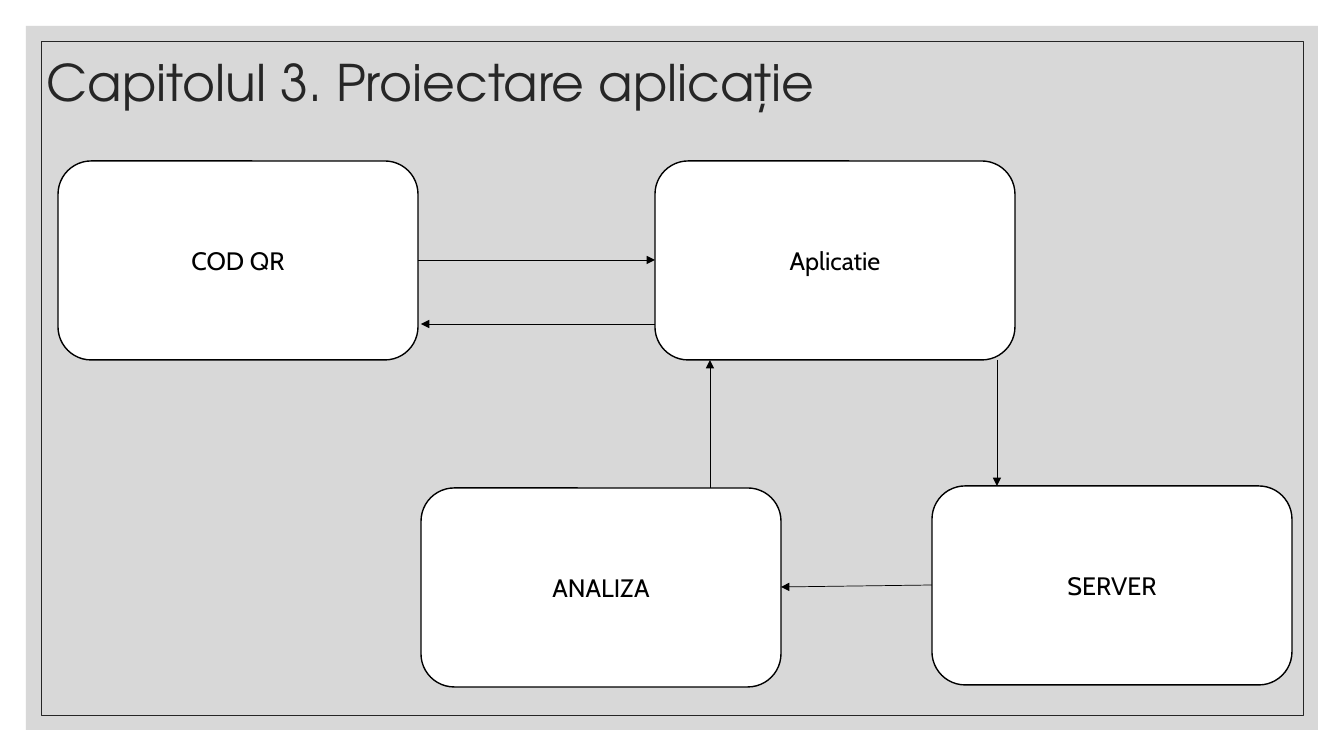
from pptx import Presentation
from pptx import util as u
from pptx.dml import color
from pptx.enum import shapes, text
from pptx.oxml import ns
from lxml import etree

PIXEL = 914400 / 100.8
COLOURS = {"panel": "BFBFBF", "title": "262626", "node": "FFFFFF", "ink": "000000"}
NODE_WIDTH, NODE_HEIGHT = 360, 199


def emu(*pixels):
    """Turn pixel lengths into EMU."""
    return [u.Emu(round(pixel * PIXEL)) for pixel in pixels]


def rgb(name):
    """Look up a named colour."""
    return color.RGBColor.from_string(COLOURS[name])


def add_child(parent, tag, **attributes):
    """Append a DrawingML element to its parent."""
    return etree.SubElement(parent, ns.qn(tag), **attributes)


def add_box(slide, kind, box, fill=None, line=None, width=1):
    """Add a preset shape with the given fill and outline."""
    shape = slide.shapes.add_shape(kind, *emu(*box))
    shape.shadow.inherit = False
    if fill:
        shape.fill.solid()
        shape.fill.fore_color.rgb = rgb(fill)
    else:
        shape.fill.background()
    if line:
        shape.line.color.rgb = rgb(line)
        shape.line.width = u.Pt(width)
    else:
        shape.line.fill.background()
    return shape


def write(shape, words, font, size, colour, alignment):
    """Write one vertically centred paragraph into a shape."""
    frame = shape.text_frame
    frame.word_wrap = True
    frame.vertical_anchor = text.MSO_ANCHOR.MIDDLE
    paragraph = frame.paragraphs[0]
    paragraph.alignment = alignment
    run = paragraph.add_run()
    run.text = words
    run.font.name = font
    run.font.size = u.Pt(size)
    run.font.color.rgb = rgb(colour)
    return paragraph


def add_arrow(slide, start, end):
    """Add a thin straight arrow between two points."""
    arrow = slide.shapes.add_connector(shapes.MSO_CONNECTOR.STRAIGHT, *emu(*start, *end))
    arrow.line.color.rgb = rgb("ink")
    arrow.line.width = u.Pt(0.5)
    add_child(arrow.line._get_or_add_ln(), "a:tailEnd", type="triangle")
    add_child(arrow._element.spPr, "a:effectLst")


def add_background(slide, box):
    """Draw the translucent panel and its thin inner frame."""
    left, top, width, height = box
    rectangle = shapes.MSO_SHAPE.RECTANGLE
    panel = add_box(slide, rectangle, box, fill="panel")
    fill = panel._element.spPr.find(ns.qn("a:solidFill"))
    add_child(fill[0], "a:alpha", val="60000")
    inset = 15
    inner = (left + inset, top + inset, width - 2 * inset, height - 2 * inset)
    add_box(slide, rectangle, inner, line="title", width=0.5)


def add_title(slide, box, words):
    """Write the slide title."""
    title = slide.shapes.add_textbox(*emu(*box))
    paragraph = write(title, words, "TeX Gyre Adventor", 36, "title", text.PP_ALIGN.LEFT)
    paragraph.line_spacing = 0.9


def add_flow(slide, box):
    """Draw the four application parts and the arrows between them."""
    left, top, width, height = box
    right, bottom = left + width, top + height
    code = (left, top)
    application = (left + 597, top)
    server = (right - NODE_WIDTH, bottom - NODE_HEIGHT - 2)
    analysis = (left + 363, bottom - NODE_HEIGHT)
    nodes = {"COD QR": code, "Aplicatie": application, "SERVER": server, "ANALIZA": analysis}
    for words, corner in nodes.items():
        node = add_box(slide, shapes.MSO_SHAPE.ROUNDED_RECTANGLE,
                       (*corner, NODE_WIDTH, NODE_HEIGHT), "node", "ink")
        write(node, words, "Cabin", 18, "ink", text.PP_ALIGN.CENTER)

    def point(corner, across, down):
        """Find a point by its offset from a node's corner."""
        return corner[0] + across, corner[1] + down

    middle = NODE_HEIGHT // 2
    arrows = [
        (point(code, NODE_WIDTH, middle), point(application, 0, middle)),
        (point(application, 342, NODE_HEIGHT), point(server, 65, 0)),
        (point(server, 0, middle), point(analysis, NODE_WIDTH, middle)),
        (point(analysis, 289, 0), point(application, 55, NODE_HEIGHT)),
        (point(application, 0, 163), point(code, NODE_WIDTH + 3, 163)),
    ]
    for start, end in arrows:
        add_arrow(slide, start, end)


def build():
    """Build and save the presentation."""
    presentation = Presentation()
    presentation.slide_width, presentation.slide_height = emu(1344, 756)
    slide = presentation.slides.add_slide(presentation.slide_layouts[6])
    add_background(slide, (26, 26, 1292, 704))
    add_title(slide, (37, 10, 1109, 151), "Capitolul 3. Proiectare aplicație")
    add_flow(slide, (58, 161, 1234, 526))
    presentation.save("out.pptx")


build()
